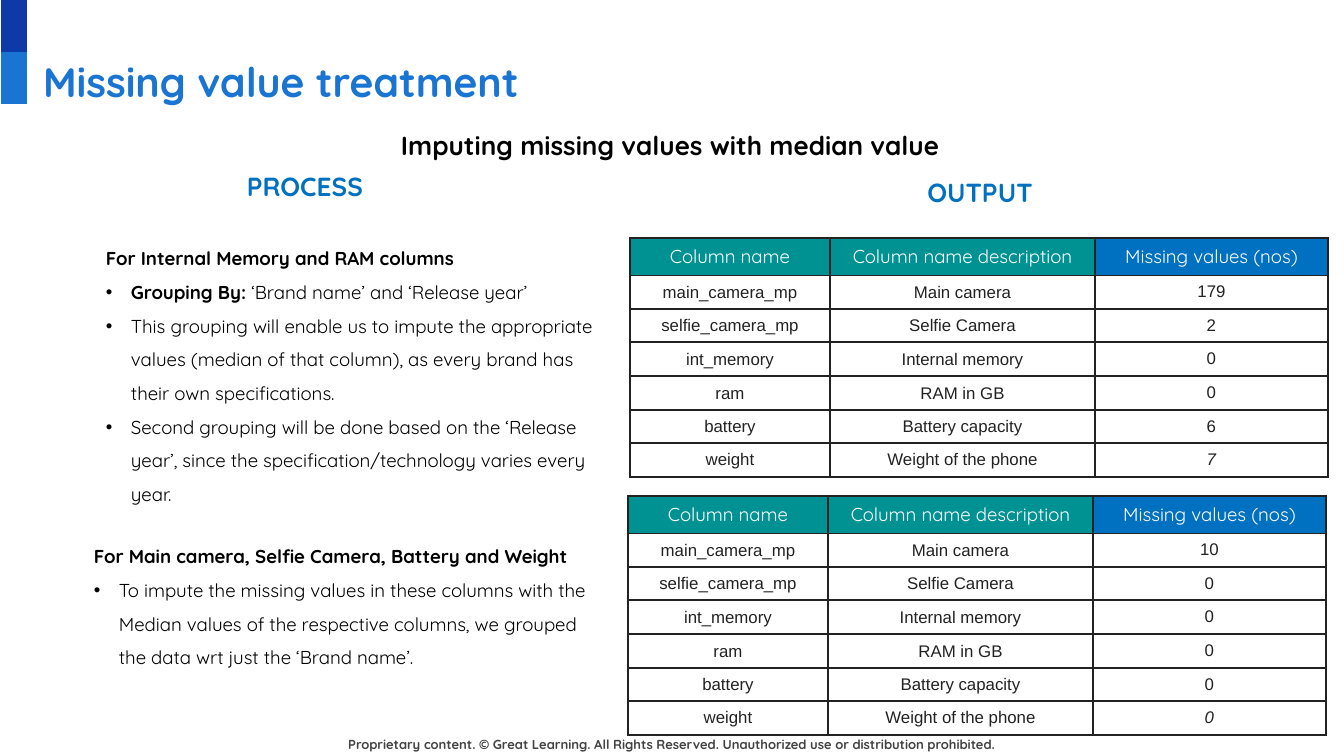
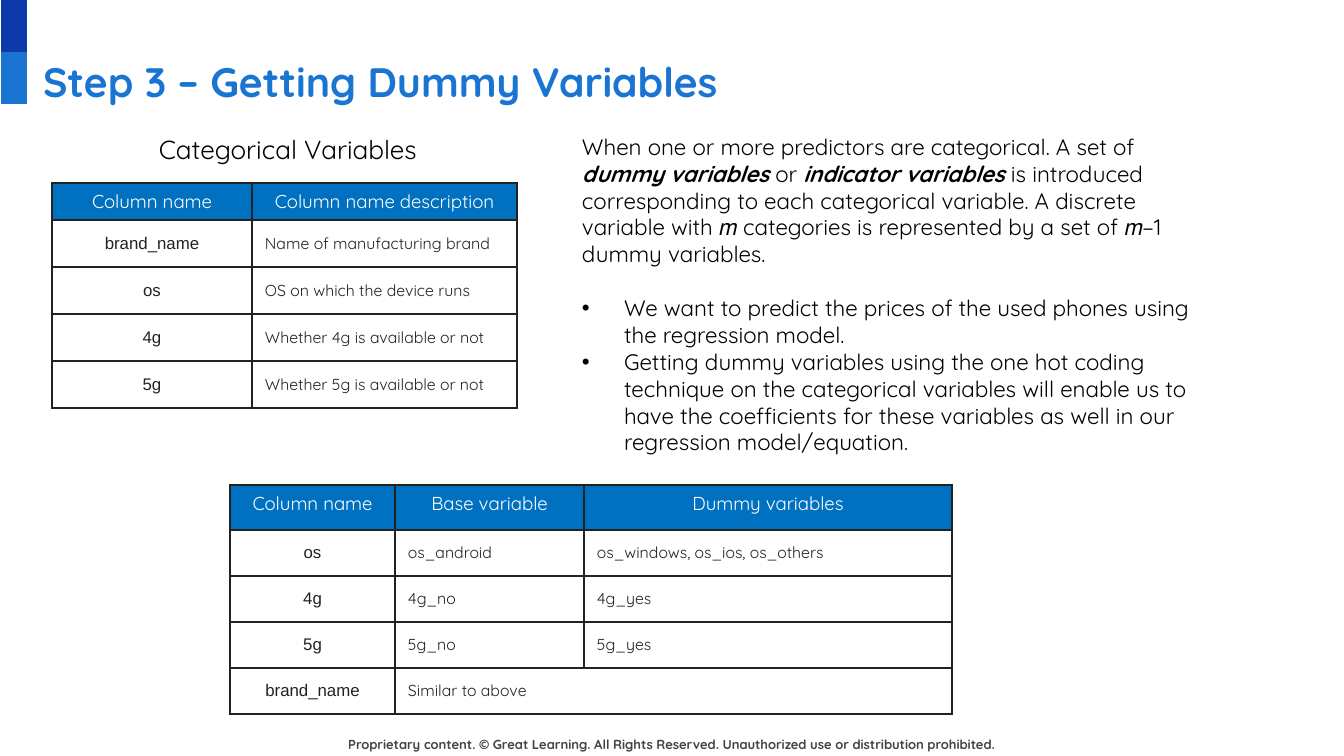
"""Build two slides on missing values and dummy variables."""
from dataclasses import dataclass

from lxml.etree import SubElement
from pptx import Presentation
from pptx.dml.color import RGBColor
from pptx.enum.shapes import MSO_SHAPE
from pptx.enum.text import MSO_ANCHOR, MSO_AUTO_SIZE, PP_ALIGN
from pptx.oxml.ns import qn
from pptx.slide import Slide
from pptx.table import _Cell as Cell
from pptx.text.text import TextFrame
from pptx.util import Emu, Pt

WIDE, HIGH = 1344, 756
SCALE = 9144000 / WIDE
NAVY = RGBColor(0x0E, 0x39, 0xA9)
AZURE = RGBColor(0x19, 0x74, 0xD2)
BLUE = RGBColor(0x00, 0x70, 0xC0)
TEAL = RGBColor(0x00, 0x91, 0x93)
INK = RGBColor(0x22, 0x22, 0x22)
GREY = RGBColor(0x43, 0x43, 0x43)
BLACK = RGBColor(0, 0, 0)
WHITE = RGBColor(0xFF, 0xFF, 0xFF)
SANS, PLAIN = "Quicksand", "Arial"
LEFT, MID = PP_ALIGN.LEFT, PP_ALIGN.CENTER
FOOT = ("Proprietary content. © Great Learning. All Rights Reserved. "
        "Unauthorized use or distribution prohibited.")


@dataclass(frozen=True)
class Run:
    text: str
    bold: bool = False
    slant: bool = False


@dataclass(frozen=True)
class Para:
    runs: tuple[Run, ...]
    hang: int = 0
    after: float = 0


@dataclass(frozen=True)
class Style:
    size: float
    color: RGBColor = BLACK
    font: str = SANS
    align: PP_ALIGN = LEFT
    lead: float = 1.0


@dataclass(frozen=True)
class Box:
    left: int
    top: int
    width: int
    height: int
    style: Style
    paras: tuple[Para, ...]
    inset: int = 7


@dataclass(frozen=True)
class Column:
    width: int
    head: str
    fill: RGBColor
    style: Style
    anchor: MSO_ANCHOR = MSO_ANCHOR.MIDDLE
    inset: int = 7


@dataclass(frozen=True)
class Grid:
    left: int
    top: int
    head: int
    body: int
    cols: tuple[Column, ...]
    rows: tuple[tuple[Run, ...], ...]


TITLE = Style(22, AZURE)
SMALL = Style(7, GREY, align=MID, lead=1.02)
LABEL = Style(14, BLUE, align=MID)
TOPIC = Style(14, lead=1.5)
NAME = Style(14, align=MID)
BODY = Style(10, lead=1.5)
PROSE = Style(12)
HEAD = Style(10, WHITE, align=MID)
CODE = Style(9, INK, PLAIN, MID)
NOTE = Style(8.5, INK)


def px(size: float) -> Emu:
    return Emu(round(size * SCALE))


def line(text: str, bold: bool = False, hang: int = 0) -> Para:
    return Para((Run(text, bold),), hang)


def share(total: int, count: int) -> list[int]:
    ends = [round(total * i / count) for i in range(count + 1)]
    return [b - a for a, b in zip(ends, ends[1:])]


def write(frame: TextFrame, paras: tuple[Para, ...], style: Style) -> None:
    for i, para in enumerate(paras):
        item = frame.add_paragraph() if i else frame.paragraphs[0]
        if para.hang:
            props = item._p.get_or_add_pPr()
            props.set("marL", str(px(para.hang)))
            props.set("indent", str(-px(para.hang)))
            tint = SubElement(props, qn("a:buClr"))
            SubElement(tint, qn("a:srgbClr"), val=str(BLACK))
            SubElement(props, qn("a:buFont"), typeface=PLAIN)
            SubElement(props, qn("a:buChar"), char="•")
        item.alignment = style.align
        item.line_spacing = style.lead
        item.space_before = Pt(0)
        item.space_after = Pt(para.after)
        for part in para.runs:
            run = item.add_run()
            run.text = part.text
            font = run.font
            font.name, font.size = style.font, Pt(style.size)
            font.bold, font.italic = part.bold, part.slant
            font.color.rgb = style.color


def fit(frame: TextFrame, inset: int) -> None:
    frame.word_wrap = True
    frame.auto_size = MSO_AUTO_SIZE.NONE
    frame.vertical_anchor = MSO_ANCHOR.TOP
    frame.margin_left = frame.margin_right = px(13)
    frame.margin_top = frame.margin_bottom = px(inset)


def draw_box(slide: Slide, box: Box) -> None:
    shape = slide.shapes.add_textbox(
        px(box.left), px(box.top), px(box.width), px(box.height))
    fit(shape.text_frame, box.inset)
    write(shape.text_frame, box.paras, box.style)


def frame_cell(cell: Cell) -> None:
    props = cell._tc.get_or_add_tcPr()
    for side in ("lnL", "lnR", "lnT", "lnB"):
        edge = SubElement(props, qn(f"a:{side}"), w=str(Pt(1)))
        fill = SubElement(edge, qn("a:solidFill"))
        SubElement(fill, qn("a:srgbClr"), val=str(INK))


def fill_cell(cell: Cell, run: Run, col: Column, top: bool) -> None:
    frame_cell(cell)
    cell.margin_left = cell.margin_right = px(13)
    cell.margin_top = cell.margin_bottom = px(7 if top else col.inset)
    cell.vertical_anchor = MSO_ANCHOR.TOP if top else col.anchor
    if top:
        cell.fill.solid()
        cell.fill.fore_color.rgb = col.fill
    else:
        cell.fill.background()
    write(cell.text_frame, (Para((run,)),), HEAD if top else col.style)


def draw_grid(slide: Slide, grid: Grid) -> None:
    count = len(grid.rows)
    table = slide.shapes.add_table(
        count + 1, len(grid.cols), px(grid.left), px(grid.top),
        px(sum(col.width for col in grid.cols)),
        px(grid.head + grid.body)).table
    table.first_row = table.horz_banding = False
    for item, col in zip(table.columns, grid.cols):
        item.width = px(col.width)
    for item, size in zip(table.rows, [grid.head, *share(grid.body, count)]):
        item.height = px(size)
    heads = tuple(Run(col.head) for col in grid.cols)
    for r, runs in enumerate((heads, *grid.rows)):
        for c, col in enumerate(grid.cols):
            if c < len(runs):
                fill_cell(table.cell(r, c), runs[c], col, r == 0)
            else:
                frame_cell(table.cell(r, c))
        if len(runs) < len(grid.cols):
            table.cell(r, len(runs) - 1).merge(
                table.cell(r, len(grid.cols) - 1))


def add_page(deck: Presentation, text: str) -> Slide:
    slide = deck.slides.add_slide(deck.slide_layouts[5])
    draw_box(slide, Box(328, 723, 687, 40, SMALL, (line(FOOT, True),), 13))
    for i, color in enumerate((NAVY, AZURE)):
        band = slide.shapes.add_shape(
            MSO_SHAPE.RECTANGLE, px(1), px(52 * i), px(26), px(52))
        band.shadow.inherit = False
        band.fill.solid()
        band.fill.fore_color.rgb = color
        band.line.fill.background()
    title = slide.shapes.title
    title.left, title.top = px(30), px(43)
    title.width, title.height = px(1253), px(85)
    fit(title.text_frame, 13)
    write(title.text_frame, (line(text, True),), TITLE)
    return slide


FIELDS = (
    ("main_camera_mp", "Main camera"),
    ("selfie_camera_mp", "Selfie Camera"),
    ("int_memory", "Internal memory"),
    ("ram", "RAM in GB"),
    ("battery", "Battery capacity"),
    ("weight", "Weight of the phone"),
)
COUNTS = (
    Column(200, "Column name", TEAL, CODE),
    Column(265, "Column name description", TEAL, CODE),
    Column(233, "Missing values (nos)", BLUE, CODE, MSO_ANCHOR.TOP),
)
KINDS = (
    Column(200, "Column name", BLUE, CODE),
    Column(265, "Column name description", BLUE, NOTE, MSO_ANCHOR.TOP, 13),
)
CODES = (
    Column(165, "Column name", BLUE, CODE),
    Column(189, "Base variable", BLUE, NOTE, MSO_ANCHOR.TOP, 13),
    Column(368, "Dummy variables", BLUE, NOTE, MSO_ANCHOR.TOP, 13),
)


def cells(*rows: tuple[str, ...]) -> tuple[tuple[Run, ...], ...]:
    return tuple(tuple(Run(text) for text in row) for row in rows)


def tally(left: int, top: int, counts: tuple[int, ...]) -> Grid:
    rows = tuple(
        (Run(name), Run(note), Run(str(count), slant=name == "weight"))
        for (name, note), count in zip(FIELDS, counts))
    return Grid(left, top, 36, 202, COUNTS, rows)


def add_missing(deck: Presentation) -> None:
    slide = add_page(deck, "Missing value treatment")
    draw_box(slide, Box(388, 101, 567, 75, TOPIC, (
        line("Imputing missing values with median value", True),), 13))
    draw_box(slide, Box(93, 223, 527, 298, BODY, (
        line("For Internal Memory and RAM columns", True),
        Para((Run("Grouping By: ", True),
              Run("‘Brand name’ and ‘Release year’")), 25),
        line("This grouping will enable us to impute the appropriate values "
             "(median of that column), as every brand has their own "
             "specifications.", hang=25),
        line("Second grouping will be done based on the ‘Release year’, since "
             "the specification/technology varies every year.", hang=25),
    ), 13))
    draw_grid(slide, tally(630, 238, (179, 2, 0, 0, 6, 7)))
    draw_grid(slide, tally(628, 496, (10, 0, 0, 0, 0, 0)))
    draw_box(slide, Box(81, 527, 527, 206, BODY, (
        line("For Main camera, Selfie Camera, Battery and Weight", True),
        line("To impute the missing values in these columns with the Median "
             "values of the respective columns, we grouped the data wrt just "
             "the ‘Brand name’.", hang=25),
    )))
    for left, top, text in ((204, 163, "PROCESS"), (879, 169, "OUTPUT")):
        draw_box(slide, Box(left, top, 202, 47, LABEL, (line(text, True),)))


def add_dummy(deck: Presentation) -> None:
    slide = add_page(deck, "Step 3 – Getting Dummy Variables")
    draw_grid(slide, Grid(52, 183, 36, 188, KINDS, cells(
        ("brand_name", "Name of manufacturing brand"),
        ("os", "OS on which the device runs"),
        ("4g", "Whether 4g is available or not"),
        ("5g", "Whether 5g is available or not"))))
    draw_box(slide, Box(59, 126, 458, 46, NAME, (
        line("Categorical Variables"),)))
    draw_box(slide, Box(569, 126, 657, 312, PROSE, (
        Para((Run("When one or more predictors are categorical. A set of "),
              Run("dummy variables ", True, True),
              Run("or "),
              Run("indicator variables ", True, True),
              Run("is introduced corresponding to each categorical variable. "
                  "A discrete variable with 𝑚 categories is represented by "
                  "a set of 𝑚−1 dummy variables.")), after=14.4),
        line("We want to predict the prices of the used phones using the "
             "regression model.", hang=42),
        line("Getting dummy variables using the one hot coding technique on "
             "the categorical variables will enable us to have the "
             "coefficients for these variables as well in our regression "
             "model/equation.", hang=42),
    )))
    draw_grid(slide, Grid(230, 485, 45, 183, CODES, cells(
        ("os", "os_android", "os_windows, os_ios, os_others"),
        ("4g", "4g_no", "4g_yes"),
        ("5g", "5g_no", "5g_yes"),
        ("brand_name", "Similar to above"))))


def main() -> None:
    deck = Presentation()
    deck.slide_width, deck.slide_height = px(WIDE), px(HIGH)
    add_missing(deck)
    add_dummy(deck)
    deck.save("out.pptx")


if __name__ == "__main__":
    main()
